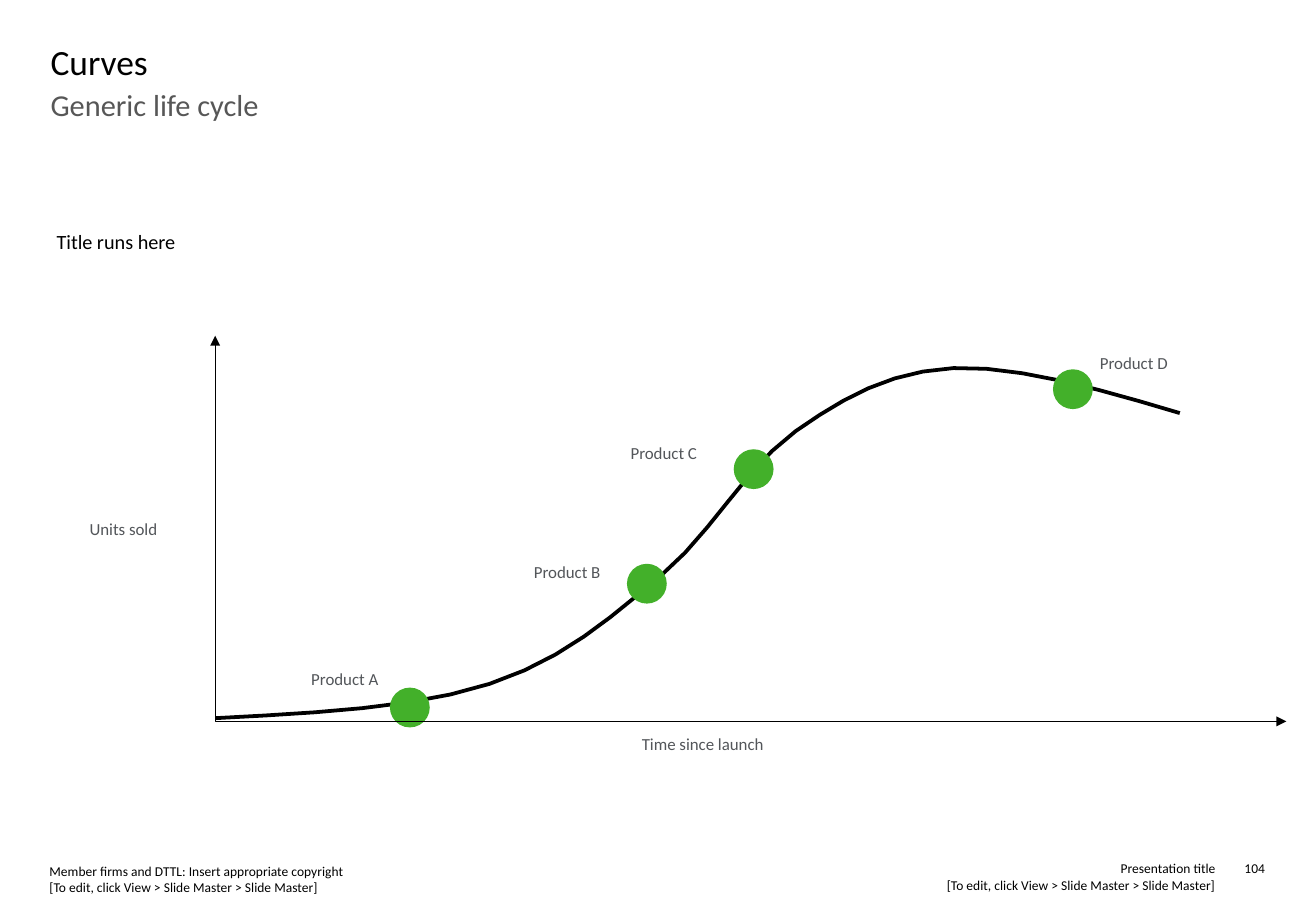
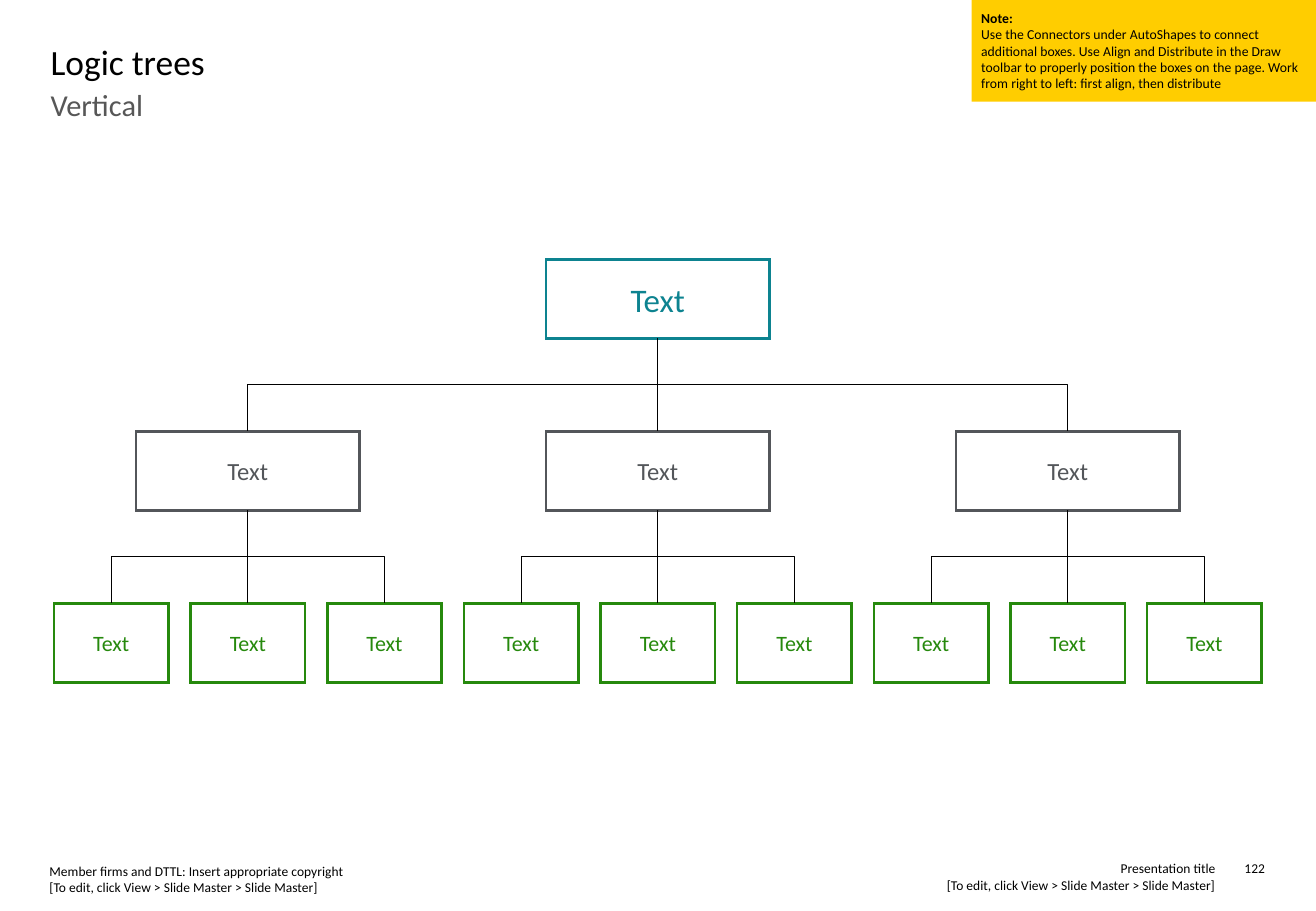
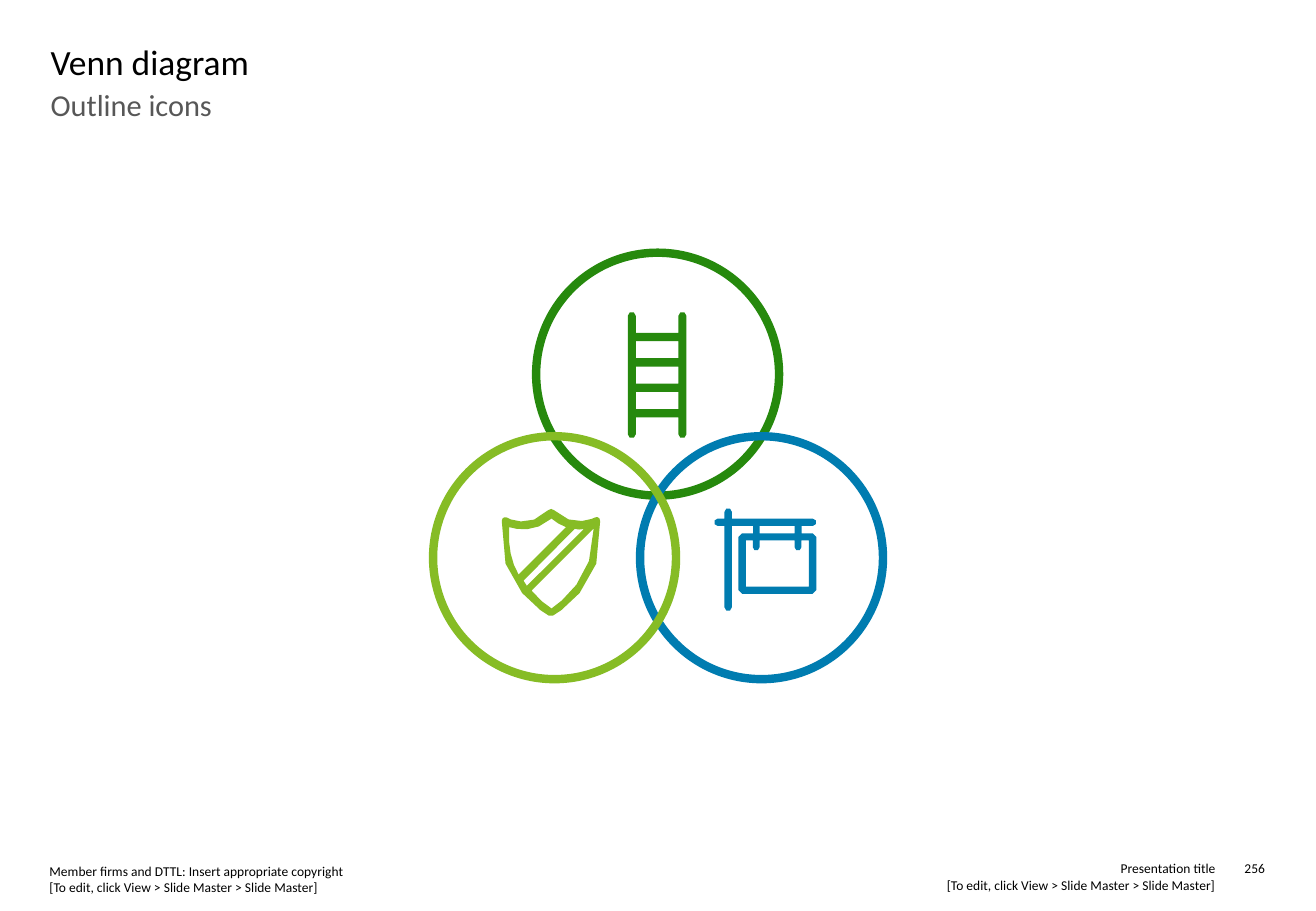
from dataclasses import dataclass
from math import cos, radians, sin
from typing import NamedTuple

from lxml.etree import SubElement
from pptx import Presentation
from pptx.dml.color import RGBColor
from pptx.enum.shapes import MSO_CONNECTOR, MSO_SHAPE
from pptx.enum.text import MSO_ANCHOR, PP_ALIGN
from pptx.oxml.ns import qn
from pptx.util import Pt


@dataclass(frozen=True)
class Theme:
    font: str = "Calibri"
    black: str = "000000"
    subtitle_gray: str = "575757"
    gray: str = "53565A"
    teal: str = "0D8390"
    green: str = "26890D"
    bright_green: str = "43B02A"
    lime: str = "86BC25"
    blue: str = "007CB0"
    yellow: str = "FFCD00"
    title_size: float = 21
    subtitle_size: float = 18
    heading_size: float = 12
    label_size: float = 10
    footer_size: float = 8
    note_size: float = 8.1
    root_size: float = 19.5
    branch_size: float = 14.6
    leaf_size: float = 13
    hairline: float = 0.5
    box_line: float = 1.5
    curve_line: float = 2.25
    ring_line: float = 5


THEME = Theme()


class Area(NamedTuple):
    left: float
    top: float
    width: float
    height: float


class TextStyle(NamedTuple):
    size: float
    color: str = THEME.black
    align: PP_ALIGN = PP_ALIGN.LEFT
    anchor: MSO_ANCHOR = MSO_ANCHOR.TOP
    wrap: bool = True
    margin: float = 0


class Label(NamedTuple):
    text: str
    area: Area
    align: PP_ALIGN = PP_ALIGN.LEFT


class Ring(NamedTuple):
    left: float
    top: float
    color: str


class Level(NamedTuple):
    top: float
    width: float
    color: str
    size: float


Point = tuple[float, float]
Outline = list[Point]

TITLE = Area(30, 23.8, 716.4, 27.4)
SUBTITLE = Area(30, 51.1, 716.4, 59.8)
EDIT_HINT = "[To edit, click View > Slide Master > Slide Master]"
FOOTERS = (
    Label(f"Presentation title\n{EDIT_HINT}", Area(407.3, 510, 313.2, 19.4), PP_ALIGN.RIGHT),
    Label(f"Member firms and DTTL: Insert appropriate copyright\n{EDIT_HINT}", Area(29.3, 511.6, 342.7, 19.4)),
)
PAGE_NUMBER = Area(730.2, 509.8, 19.6, 9.6)

LIFE_CYCLE_START = (128, 425.7)
LIFE_CYCLE = (
    (187.2, 422.6, 246.2, 419.8, 290.2, 405.4),
    (334.1, 391, 361.4, 366.5, 391.7, 341.3),
    (421.9, 316.1, 442.1, 276.5, 471.6, 255.6),
    (500.4, 235.4, 527, 220.3, 565.2, 218.2),
    (602.6, 216.7, 650.9, 230.4, 699.3, 244.9),
)
AXES = [(127.6, 199), (127.6, 427.6), (762.5, 427.6)]
DOT_SIZE = 23.6
DOTS = ((231.1, 407.6), (371.6, 334.2), (434.9, 266.3), (624.1, 218.9))
CURVE_LABELS = (
    Label("Units sold", Area(53, 307.3, 40.3, 12.2), PP_ALIGN.CENTER),
    Label("Time since launch", Area(380.4, 435, 72.7, 12.2)),
    Label("Product A", Area(184.5, 396.3, 40.3, 12.2)),
    Label("Product B", Area(316.5, 333, 40.3, 12.2)),
    Label("Product C", Area(373.8, 262.3, 40.3, 12.2)),
    Label("Product D", Area(652, 209, 41, 12.2)),
)

ROOT = Level(153.8, 132.6, THEME.teal, THEME.root_size)
BRANCH = Level(255.7, 132.6, THEME.gray, THEME.branch_size)
LEAF = Level(357.7, 67.8, THEME.green, THEME.leaf_size)
NODE_HEIGHT = 46.8
FIRST_LEAF_CENTER = 65.9
LEAF_PITCH = 81
FAN_OUT = 3
NOTE_AREA = Area(575.9, 0, 204.1, 60.3)
NOTE_TEXT = (
    "Note:\nUse the Connectors under AutoShapes to connect additional boxes. "
    "Use Align and Distribute in the Draw toolbar to properly position the boxes on the page. "
    "Work from right to left: first align, then distribute"
)

RING_SIZE = 144
RINGS = (
    Ring(317.8, 149.8, THEME.green),
    Ring(379.4, 258.6, THEME.blue),
    Ring(256.7, 258.6, THEME.lime),
)


def bezier(start: Point, curves, steps: int = 4) -> Outline:
    points = [start]
    for x1, y1, x2, y2, x3, y3 in curves:
        x0, y0 = points[-1]
        for step in range(1, steps + 1):
            t = step / steps
            u = 1 - t
            weights = (u**3, 3 * u * u * t, 3 * u * t * t, t**3)
            points.append((
                sum(w * x for w, x in zip(weights, (x0, x1, x2, x3))),
                sum(w * y for w, y in zip(weights, (y0, y1, y2, y3))),
            ))
    return points


def arc(x: float, y: float, radius: float, start: int, end: int) -> Outline:
    steps = 3 if abs(end - start) > 90 else 1
    angles = [radians(start + (end - start) * step / steps) for step in range(steps + 1)]
    return [(x + radius * cos(angle), y + radius * sin(angle)) for angle in angles]


def rectangle(left: float, top: float, right: float, bottom: float) -> Outline:
    return [(left, top), (right, top), (right, bottom), (left, bottom)]


def rgb(color: str) -> RGBColor:
    return RGBColor.from_string(color)


def paint(shape, fill: str | None = None, line: str | None = None, width: float = 0) -> None:
    shape.shadow.inherit = False
    if fill:
        shape.fill.solid()
        shape.fill.fore_color.rgb = rgb(fill)
    else:
        shape.fill.background()
    if line:
        shape.line.color.rgb = rgb(line)
        shape.line.width = Pt(width)
    else:
        shape.line.fill.background()


def write(shape, text: str, style: TextStyle, separate: bool = False, bold_first: bool = False) -> None:
    frame = shape.text_frame
    settings = {"word_wrap": style.wrap, "vertical_anchor": style.anchor}
    settings |= {f"margin_{side}": Pt(style.margin) for side in ("left", "top", "right", "bottom")}
    for name, value in settings.items():
        setattr(frame, name, value)
    para = frame.paragraphs[0]
    for index, line in enumerate(text.split("\n")):
        if index and separate:
            para = frame.add_paragraph()
        elif index:
            para.add_line_break()
        para.alignment = style.align
        span = para.add_run()
        span.text = line
        formats = {"name": THEME.font, "size": Pt(style.size), "bold": bold_first and index == 0}
        for name, value in formats.items():
            setattr(span.font, name, value)
        span.font.color.rgb = rgb(style.color)


def add_text(page, text: str, area: Area, style: TextStyle) -> None:
    write(page.shapes.add_textbox(*map(Pt, area)), text, style)


def add_shape(page, kind: MSO_SHAPE, area: Area, **look):
    shape = page.shapes.add_shape(kind, *map(Pt, area))
    paint(shape, **look)
    return shape


def add_outline(page, outlines: list[Outline], closed: bool = True, **look):
    scaled = [[(Pt(x), Pt(y)) for x, y in outline] for outline in outlines]
    builder = page.shapes.build_freeform(*scaled[0][0])
    for index, points in enumerate(scaled):
        if index:
            builder.move_to(*points[0])
        builder.add_line_segments(points[1:], close=closed)
    shape = builder.convert_to_shape()
    paint(shape, **look)
    return shape


def connect(page, parent, child) -> None:
    start_x, end_x = (box.left + box.width // 2 for box in (parent, child))
    start_y, end_y = parent.top + parent.height, child.top
    run, drop = end_x - start_x, end_y - start_y
    straight = abs(run) < Pt(1)
    kind = MSO_CONNECTOR.STRAIGHT if straight else MSO_CONNECTOR.ELBOW
    line = page.shapes.add_connector(kind, start_x, start_y, end_x, end_y)
    line.begin_connect(parent, 2)
    line.end_connect(child, 0)
    line.line.color.rgb = rgb(THEME.black)
    line.line.width = Pt(THEME.hairline)
    properties = line.element.spPr
    SubElement(properties, qn("a:effectLst"))
    if straight:
        return
    frame = {
        "left": (start_x + end_x - drop) // 2,
        "top": (start_y + end_y - abs(run)) // 2,
        "width": drop,
        "height": abs(run),
    }
    for name, value in frame.items():
        setattr(line, name, value)
    turn = {"rot": "16200000", "flipH": "1"} if run > 0 else {"rot": "5400000", "flipH": "0"}
    for name, value in turn.items():
        properties.find(qn("a:xfrm")).set(name, value)


def add_page(deck, title: str, subtitle: str, number: int):
    page = deck.slides.add_slide(deck.slide_layouts[6])
    for footer in (*FOOTERS, Label(str(number), PAGE_NUMBER, PP_ALIGN.RIGHT)):
        add_text(page, footer.text, footer.area, TextStyle(THEME.footer_size, align=footer.align))
    add_text(page, subtitle, SUBTITLE, TextStyle(THEME.subtitle_size, THEME.subtitle_gray))
    add_text(page, title, TITLE, TextStyle(THEME.title_size))
    return page


def build_curves(deck) -> None:
    page = add_page(deck, "Curves", "Generic life cycle", 104)
    curve = bezier(LIFE_CYCLE_START, LIFE_CYCLE, steps=6)
    add_outline(page, [curve], closed=False, line=THEME.black, width=THEME.curve_line)
    for left, top in DOTS:
        area = Area(left, top, DOT_SIZE, DOT_SIZE)
        add_shape(page, MSO_SHAPE.FLOWCHART_CONNECTOR, area, fill=THEME.bright_green)
    for label in CURVE_LABELS:
        style = TextStyle(THEME.label_size, THEME.gray, label.align, MSO_ANCHOR.MIDDLE, wrap=False)
        add_text(page, label.text, label.area, style)
    axes = add_outline(page, [AXES], closed=False, line=THEME.black, width=THEME.hairline)
    for end in ("a:headEnd", "a:tailEnd"):
        SubElement(axes.element.spPr.find(qn("a:ln")), qn(end), type="triangle")
    add_text(page, "Title runs here", Area(33.5, 135.7, 534.2, 14.4), TextStyle(THEME.heading_size))


def add_node(page, center: float, level: Level):
    area = Area(center - level.width / 2, level.top, level.width, NODE_HEIGHT)
    box = add_shape(page, MSO_SHAPE.RECTANGLE, area, line=level.color, width=THEME.box_line)
    SubElement(box.element.spPr.find(qn("a:ln")), qn("a:miter"), lim="800000")
    write(box, "Text", TextStyle(level.size, level.color, PP_ALIGN.CENTER, MSO_ANCHOR.MIDDLE, margin=5.8))
    return box


def build_logic_tree(deck) -> None:
    page = add_page(deck, "Logic trees", "Vertical", 122)
    centers = [FIRST_LEAF_CENTER + LEAF_PITCH * index for index in range(FAN_OUT**2)]
    root = add_node(page, centers[len(centers) // 2], ROOT)
    for first in range(0, len(centers), FAN_OUT):
        group = centers[first:first + FAN_OUT]
        branch = add_node(page, group[FAN_OUT // 2], BRANCH)
        connect(page, root, branch)
        for center in group:
            connect(page, branch, add_node(page, center, LEAF))
    note = add_shape(page, MSO_SHAPE.RECTANGLE, NOTE_AREA, fill=THEME.yellow)
    write(note, NOTE_TEXT, TextStyle(THEME.note_size, margin=5.7), separate=True, bold_first=True)


def sign_outlines() -> list[Outline]:
    radius = 2.2
    frame = [
        *arc(431.6, 303.4, radius, 180, 360), (433.8, 307.4),
        *arc(481.7, 309.6, radius, -90, 90), (475.2, 311.8), (475.2, 316.1),
        *arc(481.7, 318.3, radius, -90, 0), *arc(481.7, 349.8, radius, 0, 90),
        *arc(439.9, 349.8, radius, 90, 180), *arc(439.9, 318.3, radius, 180, 270),
        (446.4, 316.1), (446.4, 311.8), (433.8, 311.8),
        *arc(431.6, 360, radius, 0, 180), (429.4, 311.8),
        *arc(425.4, 309.6, radius, 90, 270), (429.4, 307.4),
    ]
    panel = [(442.1, 320.4)]
    for hook_center in (448.2, 473):
        panel += [(hook_center - 2, 320.4), *arc(hook_center, 324.4, 2, 180, 0), (hook_center + 2, 320.4)]
    panel += [(479.5, 320.4), (479.5, 347.8), (442.1, 347.8)]
    return [frame, rectangle(450.2, 311.8, 471, 316.1), panel]


def ladder_outlines() -> list[Outline]:
    left, right, radius = 374.5, 404.5, 2.4
    inner_left, inner_right = left + radius, right - radius
    frame = [
        *arc(left, 187.3, radius, 180, 360), (inner_left, 197.3), (inner_right, 197.3),
        *arc(right, 187.3, radius, 180, 360), *arc(right, 257.4, radius, 0, 180),
        (inner_right, 247.5), (inner_left, 247.5), *arc(left, 257.4, radius, 0, 180),
    ]
    tops = [202.2 + 15.1 * index for index in range(3)]
    return [frame, *(rectangle(inner_left, top, inner_right, top + 10.2) for top in tops)]


def shield_outlines() -> list[Outline]:
    edge = [
        (355.7, 308.9), (355.2, 307.2), (354, 306.5),
        *bezier((352.8, 306.7), ((352.8, 306.7, 339.8, 313.9, 328.3, 302.4),)),
        (326.7, 301.7),
        *bezier((325, 302.4), ((313.9, 313.9, 301, 307.4, 300.2, 306.7),)),
        (298.8, 306.7), (297.8, 307.4),
        *bezier((297.4, 308.9), ((292.3, 347.8, 325.4, 365, 325.4, 365),)),
        *bezier((327.6, 365), ((327.6, 365, 360.7, 347.8, 355.7, 308.9),))[:-1],
    ]
    stripe = [(312.3, 347.3), (310.3, 344.2), (340.6, 313.5), (343.2, 313.9), (346, 313.6)]
    left_field = [
        *bezier((301.7, 312.5), ((306.7, 313.9, 316.8, 316.1, 326.9, 307.4),)),
        (331, 310.4), (335.5, 312.5),
        *bezier((307.4, 340.6), ((303.1, 333.4, 301, 324, 301.7, 312.5),))[:-1],
    ]
    right_field = [
        (326.9, 360.7), (321, 356.3),
        (315.1, 350.1),
        *bezier((351.9, 313.3), ((352.8, 342.7, 331.9, 357.1, 326.9, 360.7),))[:-1],
    ]
    return [edge, stripe, left_field, right_field]


def build_venn(deck) -> None:
    page = add_page(deck, "Venn diagram", "Outline icons", 256)
    for ring in RINGS:
        area = Area(ring.left, ring.top, RING_SIZE, RING_SIZE)
        add_shape(page, MSO_SHAPE.OVAL, area, line=ring.color, width=THEME.ring_line)
    add_outline(page, sign_outlines(), fill=THEME.blue)
    add_outline(page, ladder_outlines(), fill=THEME.green)
    add_outline(page, shield_outlines(), fill=THEME.lime)


def main() -> None:
    deck = Presentation()
    deck.slide_width, deck.slide_height = Pt(780), Pt(540)
    for build in (build_curves, build_logic_tree, build_venn):
        build(deck)
    deck.save("out.pptx")


if __name__ == "__main__":
    main()
